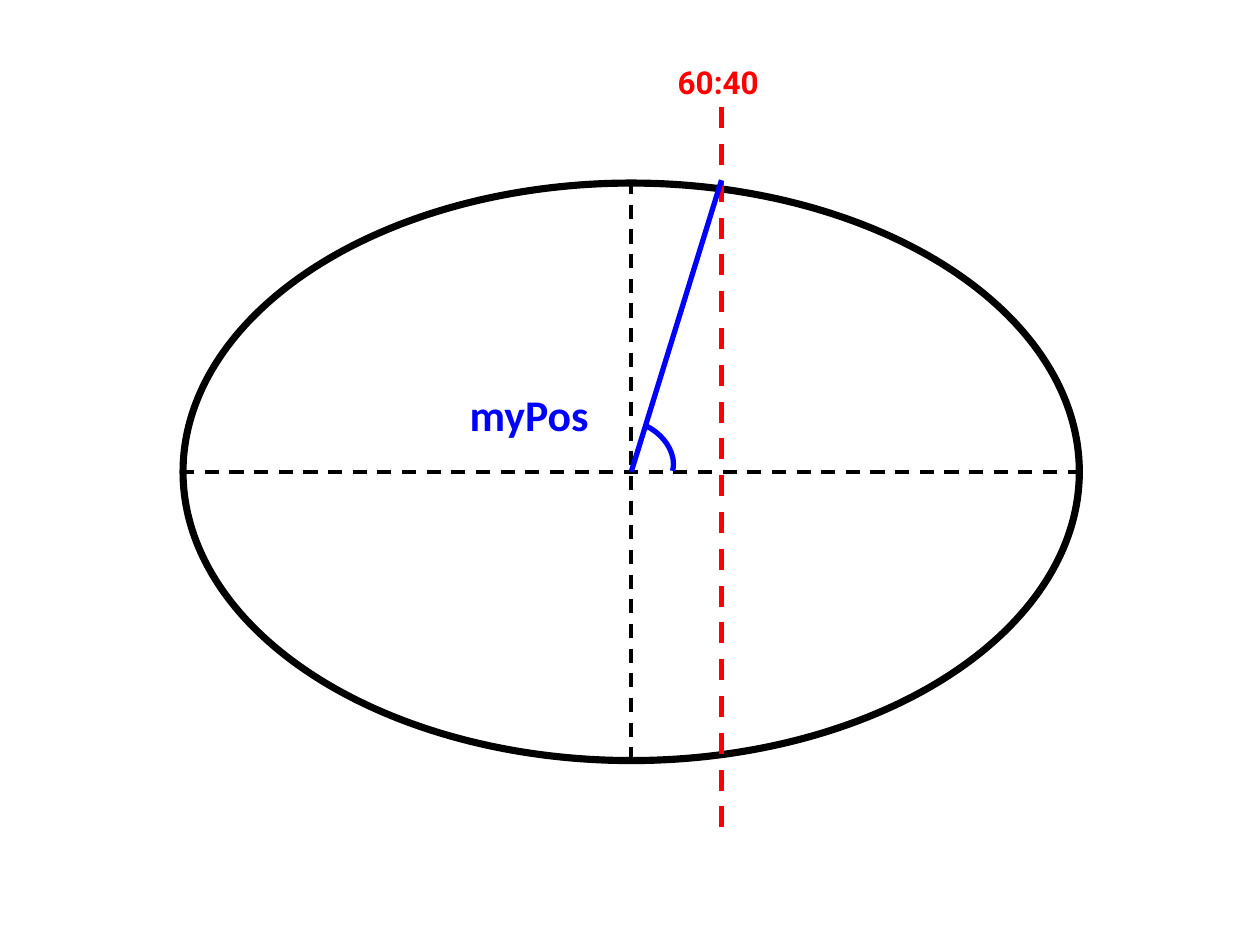
from pptx import Presentation
from pptx.dml.color import RGBColor
from pptx.enum import dml, shapes, text
from pptx.oxml.ns import qn
from pptx.util import Inches, Pt
from lxml import etree

COLORS = {"outline": "000000", "split": "FF0000", "position": "0000FF"}

LEFT, TOP, WIDTH, HEIGHT = 1.43, 1.43, 7.16, 4.63
RIGHT, BOTTOM = LEFT + WIDTH, TOP + HEIGHT
CENTER_X, CENTER_Y = LEFT + WIDTH / 2, TOP + HEIGHT / 2
SPLIT_X = LEFT + WIDTH * 0.6
OVERHANG = 0.58

AXES = [
    ((LEFT, CENTER_Y), (RIGHT, CENTER_Y), "outline", 2, True),
    ((CENTER_X, TOP), (CENTER_X, BOTTOM), "outline", 2, True),
    ((SPLIT_X, TOP - OVERHANG), (SPLIT_X, BOTTOM + OVERHANG), "split", 3, True),
]
RADIUS = ((SPLIT_X, TOP), (CENTER_X, CENTER_Y), "position", 3, False)
SPLIT_LABEL = ("60:40", (5.28, 0.45, 0.85, 0.4), "Roboto", 18, "split")
POSITION_LABEL = ("myPos", (3.63, 3.03, 1.17, 0.52), "Calibri", 25, "position")


def color(name):
    return RGBColor.from_string(COLORS[name])


def style_line(shape, name, width):
    shape.line.color.rgb = color(name)
    shape.line.width = Pt(width)


def add_line(page, start, end, name, width, dashed):
    line = page.shapes.add_connector(
        shapes.MSO_CONNECTOR.STRAIGHT, *map(Inches, start + end))
    style_line(line, name, width)
    if dashed:
        line.line.dash_style = dml.MSO_LINE.DASH
    etree.SubElement(line._element.spPr, qn("a:effectLst"))


def add_shape(page, kind, area, name, width, adjustments):
    shape = page.shapes.add_shape(kind, *map(Inches, area))
    shape.shadow.inherit = False
    for index, value in enumerate(adjustments):
        shape.adjustments[index] = value
    style_line(shape, name, width)
    return shape


def add_label(page, words, area, font, size, name):
    box = page.shapes.add_textbox(*map(Inches, area))
    box.text_frame.word_wrap = False
    box.text_frame.auto_size = text.MSO_AUTO_SIZE.SHAPE_TO_FIT_TEXT
    span = box.text_frame.paragraphs[0].add_run()
    span.text = words
    span.font.name = font
    span.font.size = Pt(size)
    span.font.bold = True
    span.font.color.rgb = color(name)


def main():
    deck = Presentation()
    deck.slide_width, deck.slide_height = Inches(10), Inches(7.5)
    page = deck.slides.add_slide(deck.slide_layouts[6])

    ellipse = add_shape(page, shapes.MSO_SHAPE.DONUT,
                        (LEFT, TOP, WIDTH, HEIGHT), "outline", 0.75, [0.01])
    ellipse.fill.solid()
    ellipse.fill.fore_color.rgb = color("outline")

    for axis in AXES:
        add_line(page, *axis)
    add_label(page, *SPLIT_LABEL)
    add_line(page, *RADIUS)

    angle = add_shape(page, shapes.MSO_SHAPE.ARC,
                      (4.65, 3.35, 0.71, 0.54), "position", 3, [162, 211.82])
    angle.fill.background()
    angle.rotation = 26.4
    add_label(page, *POSITION_LABEL)

    deck.save("out.pptx")


if __name__ == "__main__":
    main()
